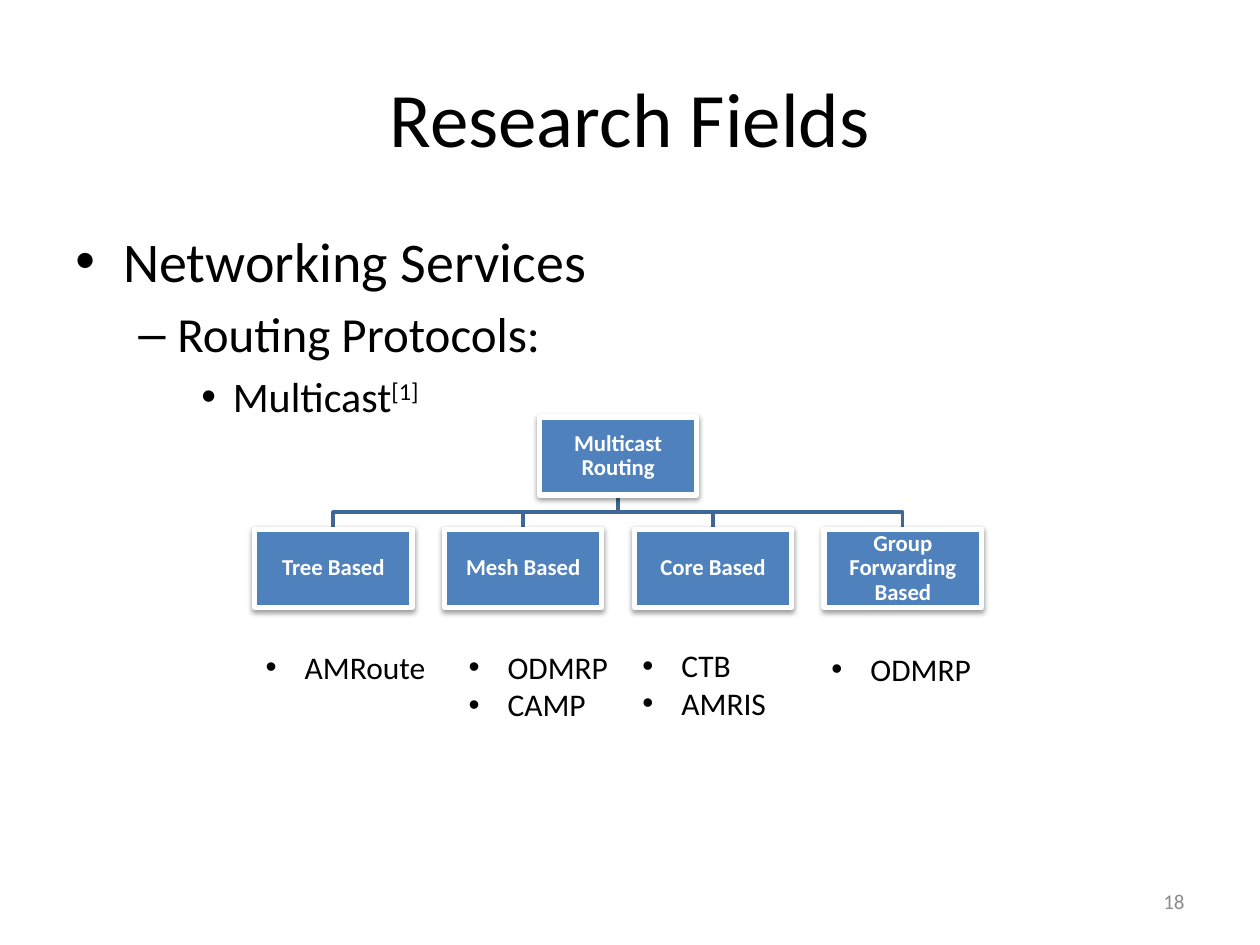
from dataclasses import dataclass
from lxml.etree import SubElement
from pptx import Presentation
from pptx.dml.color import RGBColor
from pptx.enum.shapes import MSO_SHAPE
from pptx.enum.text import MSO_ANCHOR, MSO_AUTO_SIZE, PP_ALIGN
from pptx.oxml.ns import qn
from pptx.util import Inches, Pt


@dataclass(frozen=True)
class Theme:
    font: str = "Calibri"
    ink: str = "000000"
    gray: str = "8C8C8C"
    box: str = "4F81BD"
    white: str = "FFFFFF"
    link: str = "3F6797"
    title: int = 44
    body: tuple = (32, 28, 24)
    list: int = 18
    node: int = 13
    page: int = 12


def color(code):
    return RGBColor.from_string(code)


def add_line(frame, text, *, size, ink, font, first=True, bold=False,
             align=PP_ALIGN.LEFT, bullet=None, left=0, hang=0,
             before=0, space=1.0, level=0, note=None):
    para = frame.paragraphs[0] if first else frame.add_paragraph()
    para.alignment = align
    para.level = level
    para.line_spacing = space
    para.space_before = Pt(before)
    if bullet:
        props = para._p.get_or_add_pPr()
        props.set("marL", str(Inches(left)))
        props.set("indent", str(Inches(-hang)))
        SubElement(props, qn("a:buFont"), typeface="Arial")
        SubElement(props, qn("a:buChar"), char=bullet)
    for part in filter(None, (text, note)):
        run = para.add_run()
        run.text = part
        run.font.name = font
        run.font.size = Pt(size)
        run.font.bold = bold
        run.font.color.rgb = color(ink)
        if part == note:
            run._r.get_or_add_rPr().set("baseline", "30000")


class Deck:
    def __init__(self, theme, slide):
        self.theme = theme
        self.slide = slide

    def line(self, frame, text, **style):
        base = {"font": self.theme.font, "ink": self.theme.ink}
        add_line(frame, text, **(base | style))

    def text(self, x, y, w, h, lines, anchor=MSO_ANCHOR.TOP, grow=False):
        shape = self.slide.shapes.add_textbox(*map(Inches, (x, y, w, h)))
        frame = shape.text_frame
        frame.word_wrap = not grow
        frame.vertical_anchor = anchor
        if grow:
            frame.auto_size = MSO_AUTO_SIZE.SHAPE_TO_FIT_TEXT
        for i, (words, style) in enumerate(lines):
            self.line(frame, words, first=i == 0, **style)

    def list(self, x, y, w, h, items):
        style = dict(size=self.theme.list, bullet="•", left=0.31, hang=0.31)
        self.text(x, y, w, h, [(item, style) for item in items], grow=True)

    def link(self, *points):
        start, *rest = [tuple(map(Inches, point)) for point in points]
        pen = self.slide.shapes.build_freeform(*start)
        pen.add_line_segments(rest, close=False)
        shape = pen.convert_to_shape()
        shape.shadow.inherit = False
        shape.fill.background()
        shape.line.color.rgb = color(self.theme.link)
        shape.line.width = Pt(2)

    def node(self, x, y, w, h, label):
        shape = self.slide.shapes.add_shape(
            MSO_SHAPE.RECTANGLE, *map(Inches, (x, y, w, h)))
        shape.fill.solid()
        shape.fill.fore_color.rgb = color(self.theme.box)
        shape.line.color.rgb = color(self.theme.white)
        shape.line.width = Pt(3)
        self.shade(shape)
        frame = shape.text_frame
        frame.word_wrap = True
        frame.vertical_anchor = MSO_ANCHOR.MIDDLE
        frame.margin_left = frame.margin_right = Inches(0.01)
        frame.margin_top = frame.margin_bottom = Inches(0.01)
        self.line(frame, label, size=self.theme.node, ink=self.theme.white,
                  bold=True, align=PP_ALIGN.CENTER, space=0.9)

    def shade(self, shape):
        shape.shadow.inherit = False
        effects = shape._element.spPr.find(qn("a:effectLst"))
        outer = SubElement(effects, qn("a:outerShdw"), blurRad=str(Pt(3.1)),
                           dist=str(Pt(1.6)), dir="5400000", rotWithShape="0")
        tint = SubElement(outer, qn("a:srgbClr"), val=self.theme.ink)
        SubElement(tint, qn("a:alpha"), val="38000")


def main():
    deck = Presentation()
    deck.slide_width, deck.slide_height = Inches(10), Inches(7.5)
    theme = Theme()
    page = Deck(theme, deck.slides.add_slide(deck.slide_layouts[6]))

    page.text(0.5, 0.3, 9, 1.25, [("Research Fields", dict(
        size=theme.title, align=PP_ALIGN.CENTER))], MSO_ANCHOR.MIDDLE)
    page.text(7.17, 6.95, 2.33, 0.4, [("18", dict(
        size=theme.page, ink=theme.gray, align=PP_ALIGN.RIGHT))],
        MSO_ANCHOR.MIDDLE)

    topics = [
        ("Networking Services", "•", 0.38, 0.38, None),
        ("Routing Protocols:", "–", 0.81, 0.31, None),
        ("Multicast", "•", 1.25, 0.25, "[1]"),
    ]
    lines = []
    for level, (words, bullet, left, hang, note) in enumerate(topics):
        size = theme.body[level]
        lines.append((words, dict(size=size, before=size * 0.2, level=level,
                                  bullet=bullet, left=left, hang=hang,
                                  note=note)))
    page.text(0.5, 1.75, 9, 4.95, lines)

    wide, high = 1.25, 0.62
    top, low = 3.31, 4.2
    first, last = 2.02, 6.54
    names = ["Tree Based", "Mesh Based", "Core Based",
             "Group Forwarding Based"]
    step = (last - first) / (len(names) - 1)
    lefts = [first + step * i for i in range(len(names))]
    root = (first + last) / 2
    stem = root + wide / 2
    base = top + high
    bend = (base + low) / 2

    for left in lefts:
        mid = left + wide / 2
        page.link((stem, base), (stem, bend), (mid, bend), (mid, low))
    page.node(root, top, wide, high, "Multicast Routing")
    for left, name in zip(lefts, names):
        page.node(left, low, wide, high, name)

    page.list(2.01, 5.09, 1.48, 0.4, ["AMRoute"])
    page.list(3.62, 5.09, 1.32, 0.71, ["ODMRP", "CAMP"])
    page.list(5, 5.08, 1.2, 0.71, ["CTB", "AMRIS"])
    page.list(6.5, 5.11, 1.32, 0.4, ["ODMRP"])

    deck.save("out.pptx")


if __name__ == "__main__":
    main()
